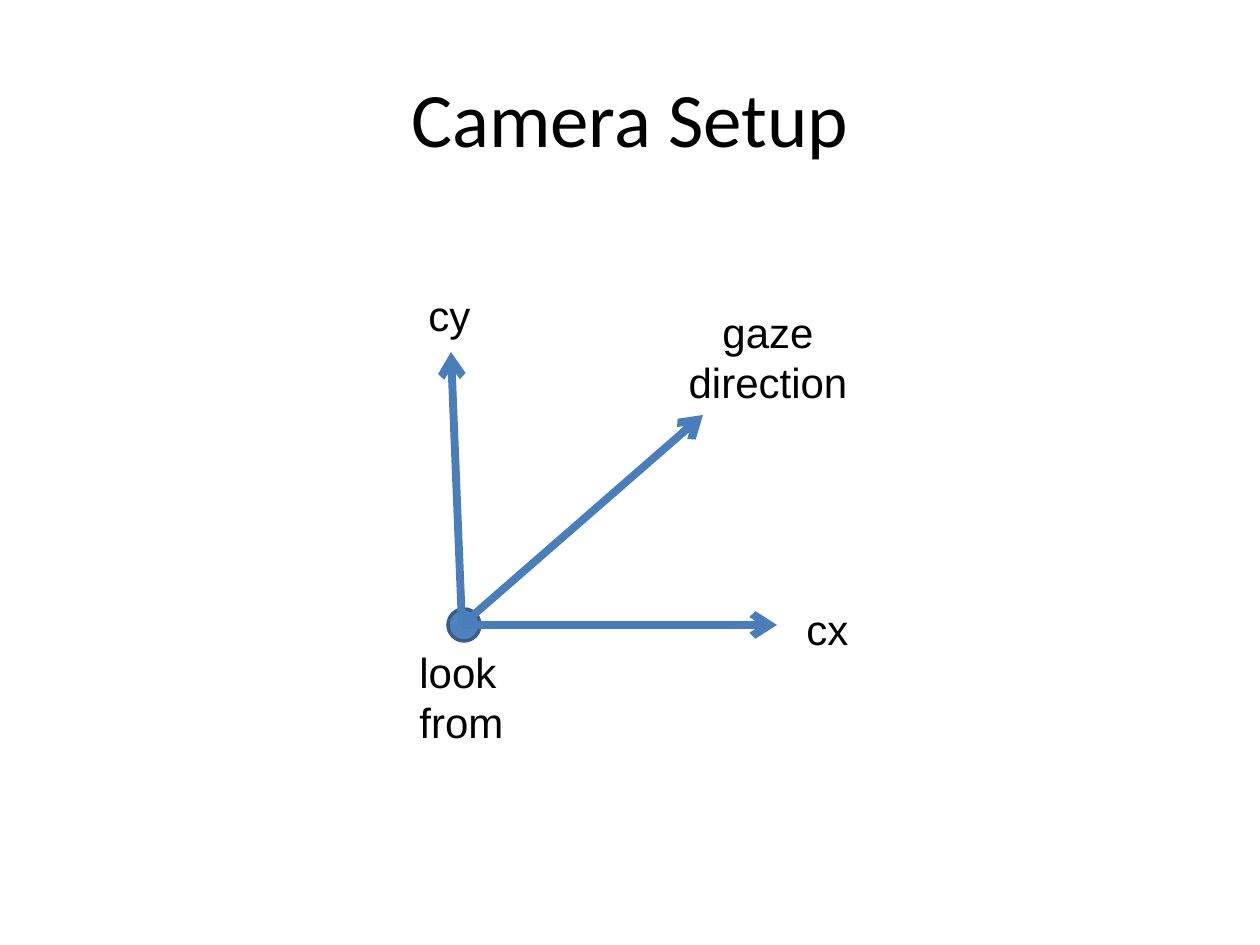
from lxml.etree import SubElement
from pptx import Presentation
from pptx.dml.color import RGBColor
from pptx.enum.shapes import MSO_CONNECTOR, MSO_SHAPE
from pptx.enum.text import MSO_ANCHOR, MSO_AUTO_SIZE, PP_ALIGN
from pptx.oxml.ns import qn
from pptx.util import Pt

PX = 914400 // 126
BLACK = RGBColor(0x00, 0x00, 0x00)
BLUE = RGBColor(0x4F, 0x81, 0xBD)
DARK_BLUE = RGBColor(0x38, 0x5D, 0x8A)
ARROW_BLUE = RGBColor(0x4A, 0x7E, 0xBB)

TITLE = ("Camera Setup", (63, 38, 1134, 157))
EYE = (448, 609, 32, 32)
ORIGIN = (462, 625)
ARROW_TIPS = [(703, 415), (451, 352), (777, 625)]
LABELS = [
    ("look\nfrom", (407, 640, 110, 113), PP_ALIGN.LEFT),
    ("cx", (794, 597, 67, 63), PP_ALIGN.LEFT),
    ("cy", (416, 283, 67, 63), PP_ALIGN.LEFT),
    ("gaze\ndirection", (676, 300, 184, 113), PP_ALIGN.CENTER),
]


def emu(lengths):
    return [length * PX for length in lengths]


def add_text(page, text, place, font="Arial", size=24, align=PP_ALIGN.LEFT,
             anchor=MSO_ANCHOR.TOP, wrap=False, fit=MSO_AUTO_SIZE.SHAPE_TO_FIT_TEXT):
    frame = page.shapes.add_textbox(*emu(place)).text_frame
    frame.word_wrap = wrap
    frame.auto_size = fit
    frame.vertical_anchor = anchor
    frame.text = text
    for para in frame.paragraphs:
        para.alignment = align
        para.font.name = font
        para.font.size = Pt(size)
        para.font.color.rgb = BLACK


def add_eye(page):
    eye = page.shapes.add_shape(MSO_SHAPE.OVAL, *emu(EYE))
    eye.shadow.inherit = False
    eye.fill.solid()
    eye.fill.fore_color.rgb = BLUE
    eye.line.color.rgb = DARK_BLUE
    eye.line.width = Pt(2)


def add_arrow(page, start, tip):
    arrow = page.shapes.add_connector(MSO_CONNECTOR.STRAIGHT, *emu(start + tip))
    arrow.line.color.rgb = ARROW_BLUE
    arrow.line.width = Pt(4.5)
    SubElement(arrow.line._get_or_add_ln(), qn("a:tailEnd"), type="arrow")
    SubElement(arrow._element.spPr, qn("a:effectLst"))


def main():
    deck = Presentation()
    deck.slide_width, deck.slide_height = emu((1260, 945))
    page = deck.slides.add_slide(deck.slide_layouts[6])

    add_text(page, *TITLE, font="Calibri", size=44, align=PP_ALIGN.CENTER,
             anchor=MSO_ANCHOR.MIDDLE, wrap=True, fit=MSO_AUTO_SIZE.NONE)
    add_eye(page)
    for tip in ARROW_TIPS:
        add_arrow(page, ORIGIN, tip)
    for text, place, align in LABELS:
        add_text(page, text, place, align=align)

    deck.save("out.pptx")


if __name__ == "__main__":
    main()
